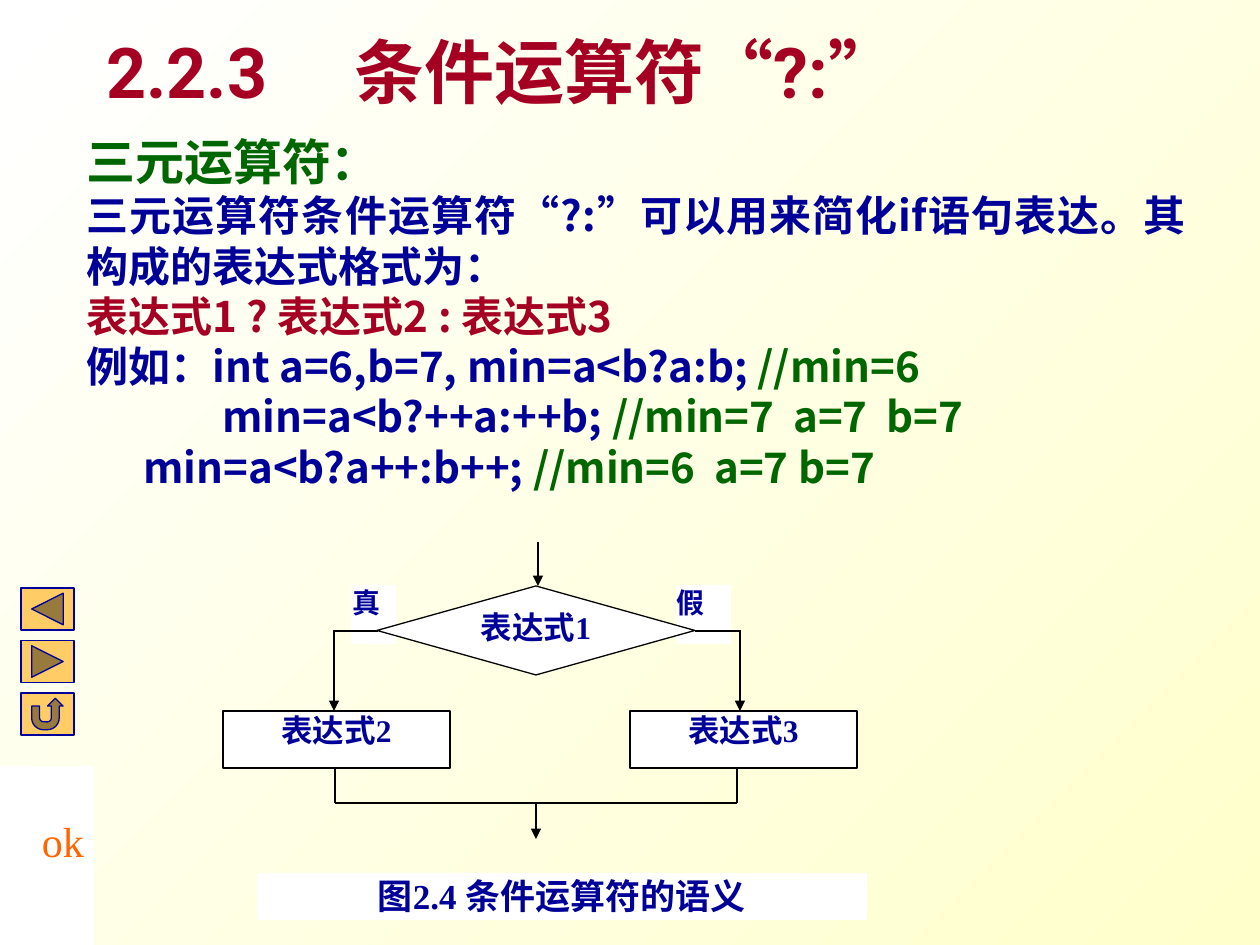
import pptx
import pptx.util
import pptx.dml.color
import pptx.enum.shapes
import pptx.enum.text
from lxml import etree

RGBColor = pptx.dml.color.RGBColor
SHAPE = pptx.enum.shapes.MSO_SHAPE
STRAIGHT = pptx.enum.shapes.MSO_CONNECTOR.STRAIGHT
ALIGN = pptx.enum.text.PP_ALIGN
ANCHOR = pptx.enum.text.MSO_ANCHOR

WHITE = RGBColor(0xFF, 0xFF, 0xFF)
CREAM = RGBColor(0xFF, 0xFF, 0xCC)
BLACK = RGBColor(0x00, 0x00, 0x00)
NAVY = RGBColor(0x00, 0x00, 0x99)
GREEN = RGBColor(0x00, 0x66, 0x00)
CRIMSON = RGBColor(0xA5, 0x00, 0x21)
ORANGE = RGBColor(0xFF, 0x66, 0x00)
GOLD = RGBColor(0xFF, 0xCC, 0x66)

SANS = "Noto Sans CJK SC"
SERIF = "Times New Roman"
A = "{http://schemas.openxmlformats.org/drawingml/2006/main}"


def px(*lengths):
    """Turn slide px (126 to the inch) into EMU."""
    return [pptx.util.Emu(round(length * 914400 / 126)) for length in lengths]


def write(para, text, size=24, color=NAVY, font=SERIF, asian=SANS, bold=True):
    span = para.add_run()
    span.text = text
    span.font.size = pptx.util.Pt(size)
    span.font.bold = bold
    span.font.color.rgb = color
    span.font.name = font
    latin = span.font._element.find(A + "latin")
    latin.addnext(latin.makeelement(A + "ea", {"typeface": asian}))


deck = pptx.Presentation()
deck.slide_width, deck.slide_height = px(1260, 945)
slide = deck.slides.add_slide(deck.slide_layouts[6])
shapes = slide.shapes

# Background
backdrop = slide.background.fill
backdrop.gradient()
backdrop.gradient_angle = 315
for stop, color, position in zip(backdrop.gradient_stops, (WHITE, CREAM), (0, 1)):
    stop.color.rgb = color
    stop.position = position

# Title
title = shapes.add_textbox(*px(94, 26, 1071, 89)).text_frame
title.word_wrap = True
title.vertical_anchor = ANCHOR.MIDDLE
para = title.paragraphs[0]
tabs = etree.SubElement(para._p.get_or_add_pPr(), A + "tabLst")
etree.SubElement(tabs, A + "tab", pos=str(px(248)[0]), algn="l")
write(para, "2.2.3\t条件运算符“?:”", size=40, color=CRIMSON, font="Roboto")

# Body text: alignment, indent, line height in points, spans
body_lines = [
    (ALIGN.JUSTIFY, 0, 33.5, [("三元运算符：", dict(
        size=28, color=GREEN, font="Noto Sans CJK JP", asian="Noto Sans CJK JP"))]),
    (ALIGN.JUSTIFY, 0, 28.75, [
        ("三元运算符条件运算符", {}),
        ("“", dict(font=SERIF)),
        ("?:", {}),
        ("”", dict(font=SERIF)),
        ("可以用来简化if语句表达。其构成的表达式格式为：", {})]),
    (ALIGN.JUSTIFY, 0, 28.75, [("表达式1 ? 表达式2 : 表达式3", dict(color=CRIMSON))]),
    (ALIGN.LEFT, 0, 28.75, [
        ("例如：int a=6,b=7, min=a<b?a:b; ", {}), ("//min=6", dict(color=GREEN))]),
    (ALIGN.LEFT, 136, 28.75, [
        ("min=a<b?++a:++b; ", {}), ("//min=7  a=7  b=7", dict(color=GREEN))]),
    (ALIGN.LEFT, 57, 28.75, [
        ("min=a<b?a++:b++; ", {}), ("//min=6  a=7 b=7", dict(color=GREEN))]),
]
body = shapes.add_textbox(*px(74, 125, 1124, 374)).text_frame
body.word_wrap = True
for index, (align, indent, height, spans) in enumerate(body_lines):
    para = body.add_paragraph() if index else body.paragraphs[0]
    para.alignment = align
    para.line_spacing = pptx.util.Pt(height)
    if indent:
        para._p.get_or_add_pPr().set("marL", str(px(indent)[0]))
    for text, style in spans:
        write(para, text, **{"font": SANS, **style})

# Navigation buttons
buttons = (SHAPE.ACTION_BUTTON_BACK_OR_PREVIOUS,
           SHAPE.ACTION_BUTTON_FORWARD_OR_NEXT,
           SHAPE.ACTION_BUTTON_RETURN)
for index, kind in enumerate(buttons):
    button = shapes.add_shape(kind, *px(21, 588 + index * 105 / 2, 53, 42))
    button.shadow.inherit = False
    button.fill.solid()
    button.fill.fore_color.rgb = GOLD
    button.line.color.rgb = NAVY
    button.line.width = pptx.util.Pt(0.75)

# Corner panel, caption, branch labels and flowchart nodes
nodes = [
    (SHAPE.RECTANGLE, (0, 766, 94, 179), None, "", 18, ALIGN.LEFT),
    (SHAPE.RECTANGLE, (258, 874, 608, 45), WHITE, "图2.4 条件运算符的语义", 20, ALIGN.CENTER),
    (SHAPE.RECTANGLE, (352, 586, 43, 57), WHITE, "真", 16, ALIGN.JUSTIFY),
    (SHAPE.RECTANGLE, (677, 586, 53, 57), WHITE, "假", 16, ALIGN.JUSTIFY),
    (SHAPE.FLOWCHART_DECISION, (377, 586, 318, 89), BLACK, "表达式1", 18, ALIGN.CENTER),
    (SHAPE.RECTANGLE, (223, 711, 227, 57), BLACK, "表达式2", 18, ALIGN.CENTER),
    (SHAPE.RECTANGLE, (630, 711, 227, 57), BLACK, "表达式3", 18, ALIGN.CENTER),
]
for kind, place, outline, text, size, align in nodes:
    node = shapes.add_shape(kind, *px(*place))
    node.shadow.inherit = False
    node.fill.solid()
    node.fill.fore_color.rgb = WHITE
    if outline is None:
        node.line.fill.background()
    else:
        node.line.color.rgb = outline
        node.line.width = pptx.util.Pt(0.75)
    if text:
        frame = node.text_frame
        frame.margin_left = frame.margin_right = frame.margin_top = frame.margin_bottom = 0
        frame.vertical_anchor = ANCHOR.TOP
        frame.paragraphs[0].alignment = align
        write(frame.paragraphs[0], text, size=size)

# Corner mark
mark = shapes.add_textbox(*px(21, 809, 84, 63)).text_frame
mark.word_wrap = True
mark.paragraphs[0].alignment = ALIGN.CENTER
write(mark.paragraphs[0], "ok", color=ORANGE, bold=False)

# Flow lines: start, end, arrowhead
flow_lines = [
    ((538, 542), (538, 586), True),
    ((378, 631), (333, 631), False),
    ((334, 631), (334, 711), True),
    ((695, 631), (741, 631), False),
    ((740, 631), (740, 711), True),
    ((335, 767), (335, 803), False),
    ((737, 767), (737, 803), False),
    ((335, 803), (737, 803), False),
    ((536, 803), (536, 839), True),
]
for start, end, arrow in flow_lines:
    line = shapes.add_connector(STRAIGHT, *px(*start, *end))
    line.line.color.rgb = BLACK
    line.line.width = pptx.util.Pt(0.75)
    if arrow:
        etree.SubElement(line.line._get_or_add_ln(), A + "tailEnd", type="triangle")
    etree.SubElement(line._element.spPr, A + "effectLst")

deck.save("out.pptx")
